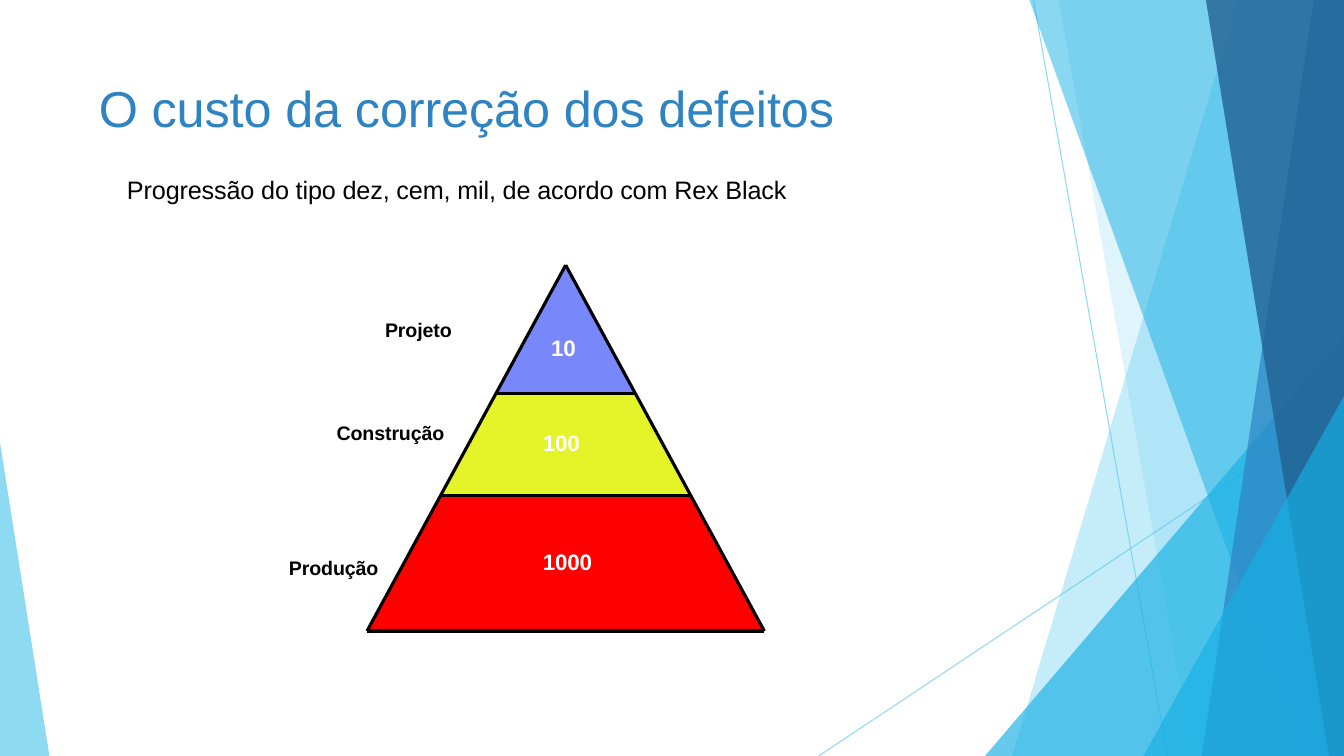
from lxml.etree import SubElement
from pptx import Presentation
from pptx.dml.color import RGBColor
from pptx.enum.shapes import MSO_CONNECTOR, MSO_SHAPE
from pptx.enum.text import MSO_ANCHOR, MSO_AUTO_SIZE, PP_ALIGN
from pptx.oxml.ns import qn
from pptx.util import Inches, Pt

BLACK, WHITE = "000000", "FFFFFF"
SKY, CYAN, BLUE, NAVY = "5FCBEF", "17B0E4", "2E83C3", "226292"


def paint(color_format, color, opacity=100):
    color_format.rgb = RGBColor.from_string(color)
    if opacity < 100:
        swatch = color_format._xFill.find(qn("a:srgbClr"))
        SubElement(swatch, qn("a:alpha")).set("val", str(opacity * 1000))


class PyramidSlide:
    """Draws on one slide, measured in a grid of 100 columns by 100 rows."""

    font = "Arial"

    def __init__(self, deck):
        self.column = deck.slide_width / 100
        self.row = deck.slide_height / 100
        self.slide = deck.slides.add_slide(deck.slide_layouts[5])
        self.shapes = self.slide.shapes

    def at(self, column, row):
        return round(column * self.column), round(row * self.row)

    def fill(self, shape, color, opacity=100, outline=None):
        shape.shadow.inherit = False
        shape.fill.solid()
        paint(shape.fill.fore_color, color, opacity)
        if outline:
            paint(shape.line.color, outline)
            shape.line.width = Pt(0.75)
        else:
            shape.line.fill.background()

    def polygon(self, corners, color, opacity=100, outline=None):
        start, *others = [self.at(*corner) for corner in corners]
        builder = self.shapes.build_freeform(*start, scale=1.0)
        builder.add_line_segments(others, close=True)
        self.fill(builder.convert_to_shape(), color, opacity, outline)

    def corner_triangle(self, left, top, width, apex, color, opacity):
        wedge = self.shapes.add_shape(
            MSO_SHAPE.ISOSCELES_TRIANGLE, *self.at(left, top), *self.at(width, 100 - top))
        wedge.adjustments[0] = apex
        self.fill(wedge, color, opacity)

    def line(self, start, end, color, points, opacity=100):
        stroke = self.shapes.add_connector(
            MSO_CONNECTOR.STRAIGHT, *self.at(*start), *self.at(*end))
        stroke.line.width = Pt(points)
        stroke.line.fill.solid()
        paint(stroke.line.fill.fore_color, color, opacity)
        SubElement(stroke._element.spPr, qn("a:effectLst"))

    def add_words(self, paragraph, words, points, color, bold=False):
        run = paragraph.add_run()
        run.text = words
        run.font.name = self.font
        run.font.size = Pt(points)
        run.font.bold = bold
        paint(run.font.color, color)
        run._r.get_or_add_rPr().set("spc", "-10")

    def title(self, words, left, top, width, height):
        heading = self.shapes.title
        heading.left, heading.top = self.at(left, top)
        heading.width, heading.height = self.at(width, height)
        frame = heading.text_frame
        frame.auto_size = MSO_AUTO_SIZE.NONE
        frame.vertical_anchor = MSO_ANCHOR.TOP
        frame.margin_left, frame.margin_top = Inches(0.24), Inches(0.1)
        frame.paragraphs[0].alignment = PP_ALIGN.LEFT
        self.add_words(frame.paragraphs[0], words, 36, BLUE)

    def label(self, words, left, top, width, points, color=BLACK, bold=True):
        height = points * 1.2 / 72 / 7.5 * 100
        box = self.shapes.add_textbox(*self.at(left, top), *self.at(width, height))
        frame = box.text_frame
        frame.word_wrap = True
        frame.margin_left = frame.margin_right = 0
        frame.margin_top = frame.margin_bottom = 0
        frame.paragraphs[0].space_before = Pt(1)
        self.add_words(frame.paragraphs[0], words, points, color, bold)

    def backdrop(self):
        self.line((76.9, 0), (86.87, 100), SKY, 0.75, 70)
        self.line((100, 53.73), (60.92, 100), SKY, 0.75, 70)
        self.band(92.12, 75.32, SKY, 36)
        self.band(78.77, 88.75, SKY, 20)
        self.corner_triangle(73.29, 44.4, 26.71, 1, CYAN, 66)
        self.band(76.59, 96.85, CYAN, 50)
        self.band(97.75, 89.42, BLUE, 70)
        self.band(89.72, 98.87, NAVY, 80)
        self.corner_triangle(85.07, 52.4, 14.93, 1, CYAN, 66)
        self.corner_triangle(0, 58.53, 3.68, 0, SKY, 70)

    def band(self, top_column, bottom_column, color, opacity):
        corners = [(top_column, 0), (100, 0), (100, 100), (bottom_column, 100)]
        self.polygon(corners, color, opacity)

    def pyramid(self, apex, base_row, half_base, levels):
        center, apex_row = apex
        feet = []
        for bottom, color, outline in levels:
            half = half_base * (bottom - apex_row) / (base_row - apex_row)
            left, right = (center - half, bottom), (center + half, bottom)
            self.polygon([left, apex, right], color, outline=outline)
            feet.append((left, right))
        for left, right in feet:
            self.line(left, right, BLACK, 2.25)
        for foot in feet[0]:
            self.line(foot, apex, BLACK, 2.25)


def main():
    deck = Presentation()
    deck.slide_width, deck.slide_height = Inches(13.33), Inches(7.5)
    page = PyramidSlide(deck)
    page.backdrop()
    page.title("O custo da correção dos defeitos", 5.55, 8.93, 70.52, 19.2)
    page.label("Progressão do tipo dez, cem, mil, de acordo com Rex Black",
               9.45, 23.07, 50.5, 18, bold=False)
    page.pyramid((42.09, 35.07), 83.47, 14.78, [
        (83.47, "FF0000", None), (65.6, "E5F428", WHITE), (52, "7888FB", WHITE)])
    for phase, left, top, width in [
            ("Projeto", 28.65, 42, 6.8),
            ("Construção", 25.05, 55.73, 8.8),
            ("Produção", 21.5, 73.47, 7.3)]:
        page.label(phase, left, top, width, 14)
    for cost, left, top, width in [
            ("10", 41, 44.13, 2.5), ("100", 40.4, 56.8, 3.4), ("1000", 40.4, 72.53, 4.3)]:
        page.label(cost, left, top, width, 16, WHITE)
    deck.save("out.pptx")


if __name__ == "__main__":
    main()
